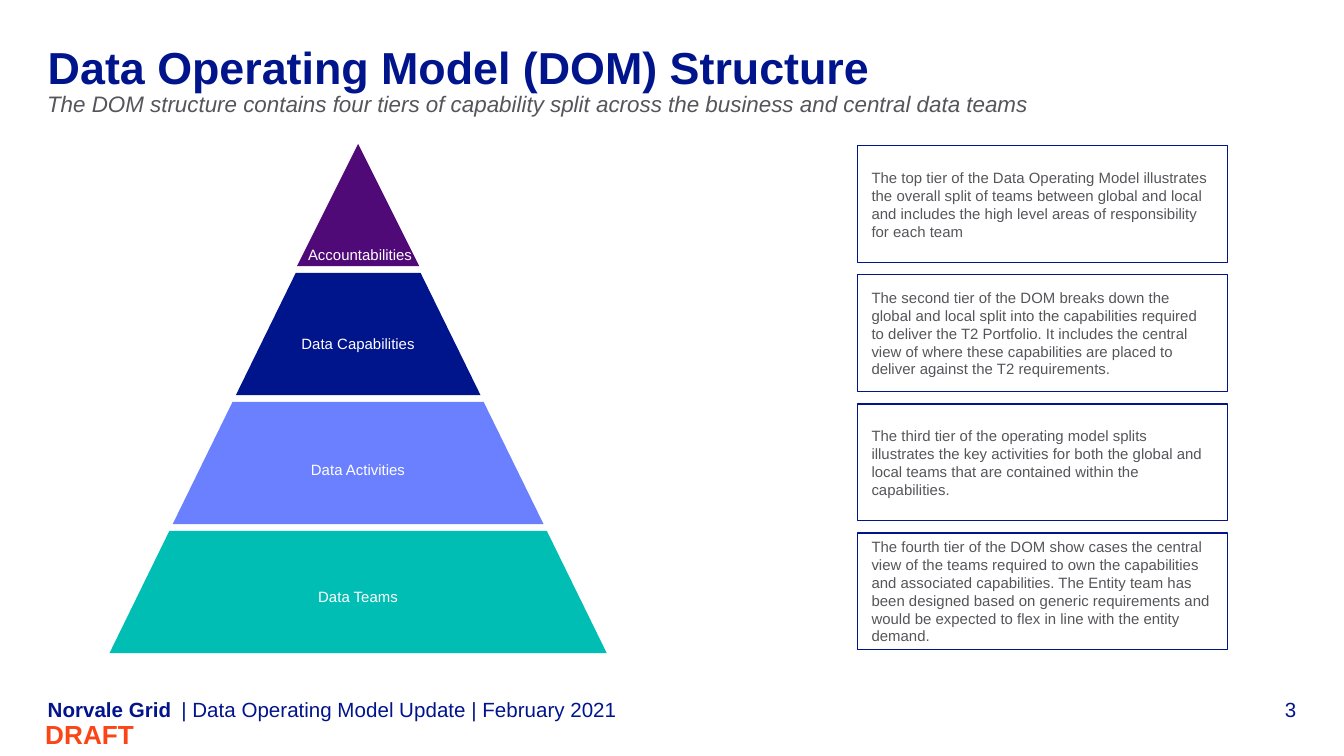
"""Build the Data Operating Model pyramid slide."""
from pptx import Presentation
from pptx.dml.color import RGBColor
from pptx.enum.shapes import MSO_SHAPE as Shape
from pptx.enum.text import MSO_ANCHOR as Anchor, PP_ALIGN as Align
from pptx.util import Emu, Pt

THEME = {
    "font": "Arial",
    "navy": "00148C", "grey": "55555A", "white": "FFFFFF", "orange": "FA4616",
    "purple": "500A78", "blue": "6B80FF", "teal": "00BEB4",
    "title": 24, "draft": 14, "subtitle": 12, "footer": 11, "body": 8,
}
EMU_PER_PX = 4572


def px(*lengths):
    return [Emu(length * EMU_PER_PX) for length in lengths]


def write(holder, words, size, color, align=Align.LEFT, anchor=Anchor.TOP,
          inset=(0, 0), after=0, bold=False, italic=False):
    frame = holder.text_frame
    frame.text = words
    frame.word_wrap = True
    frame.vertical_anchor = anchor
    frame.margin_left, frame.margin_top = px(*inset)
    frame.margin_right, frame.margin_bottom = px(*inset)
    paragraph = frame.paragraphs[0]
    paragraph.alignment = align
    paragraph.space_after = Pt(after)
    font = paragraph.runs[0].font
    font.name, font.size = THEME["font"], Pt(THEME[size])
    font.bold, font.italic = bold, italic
    font.color.rgb = RGBColor.from_string(THEME[color])


deck = Presentation()
deck.slide_width, deck.slide_height = px(2000, 1125)
slide = deck.slides.add_slide(deck.slide_layouts[6])
shapes = slide.shapes

headings = [
    ((71, 59, 1858, 94), "Data Operating Model (DOM) Structure", "title", "navy",
     dict(bold=True)),
    ((70, 124, 1898, 60),
     "The DOM structure contains four tiers of capability split across the "
     "business and central data teams", "subtitle", "grey",
     dict(inset=(0, 10), after=6, italic=True)),
]
footers = [
    ((71, 1036, 200, 38), "Norvale Grid", "footer", "navy",
     dict(anchor=Anchor.BOTTOM, bold=True)),
    ((270, 1036, 1574, 38), "| Data Operating Model Update | February 2021",
     "footer", "navy", dict(anchor=Anchor.BOTTOM, after=6)),
    ((1813, 1036, 116, 38), "3", "footer", "navy",
     dict(anchor=Anchor.BOTTOM, align=Align.RIGHT)),
    ((4, 1060, 215, 66), "DRAFT", "draft", "orange",
     dict(anchor=Anchor.MIDDLE, align=Align.RIGHT, inset=(20, 10), after=4.5,
          bold=True)),
]
for place, words, size, color, style in headings + footers:
    write(shapes.add_textbox(*px(*place)), words, size, color, **style)

tiers = [
    ("Accountabilities", "purple", 182,
     "The top tier of the Data Operating Model illustrates the overall split of "
     "teams between global and local and includes the high level areas of "
     "responsibility for each team"),
    ("Data Capabilities", "navy", 364,
     "The second tier of the DOM breaks down the global and local split into the "
     "capabilities required to deliver the T2 Portfolio. It includes the central "
     "view of where these capabilities are placed to deliver against the T2 "
     "requirements."),
    ("Data Activities", "blue", 552,
     "The third tier of the operating model splits illustrates the key activities "
     "for both the global and local teams that are contained within the "
     "capabilities."),
    ("Data Teams", "teal", 740,
     "The fourth tier of the DOM show cases the central view of the teams required "
     "to own the capabilities and associated capabilities. The Entity team has been "
     "designed based on generic requirements and would be expected to flex in line "
     "with the entity demand."),
]
PYRAMID_CENTER, PYRAMID_TOP, TIER_HEIGHT, TIER_PITCH = 533, 214, 182, 192

for rank, (name, color, width, description) in enumerate(tiers):
    top = PYRAMID_TOP + rank * TIER_PITCH
    outline = Shape.TRAPEZOID if rank else Shape.ISOSCELES_TRIANGLE
    tier = shapes.add_shape(
        outline, *px(PYRAMID_CENTER - width // 2, top, width, TIER_HEIGHT))
    tier.shadow.inherit = False
    tier.fill.solid()
    tier.fill.fore_color.rgb = RGBColor.from_string(THEME[color])
    tier.line.fill.background()
    if rank:
        tier.adjustments[0] = 0.49
        write(tier, name, "body", "white", Align.CENTER, Anchor.MIDDLE, (20, 10), 4.5)
    else:
        label = shapes.add_textbox(*px(442, 366, 188, 26))
        write(label, name, "body", "white", Align.CENTER, Anchor.MIDDLE)

    note = shapes.add_shape(Shape.RECTANGLE, *px(1276, top + 3, 551, 174))
    note.shadow.inherit = False
    note.fill.solid()
    note.fill.fore_color.rgb = RGBColor.from_string(THEME["white"])
    note.line.color.rgb = RGBColor.from_string(THEME["navy"])
    note.line.width = Pt(0.75)
    write(note, description, "body", "grey", anchor=Anchor.MIDDLE,
          inset=(21, 10), after=4.5)

deck.save("out.pptx")
